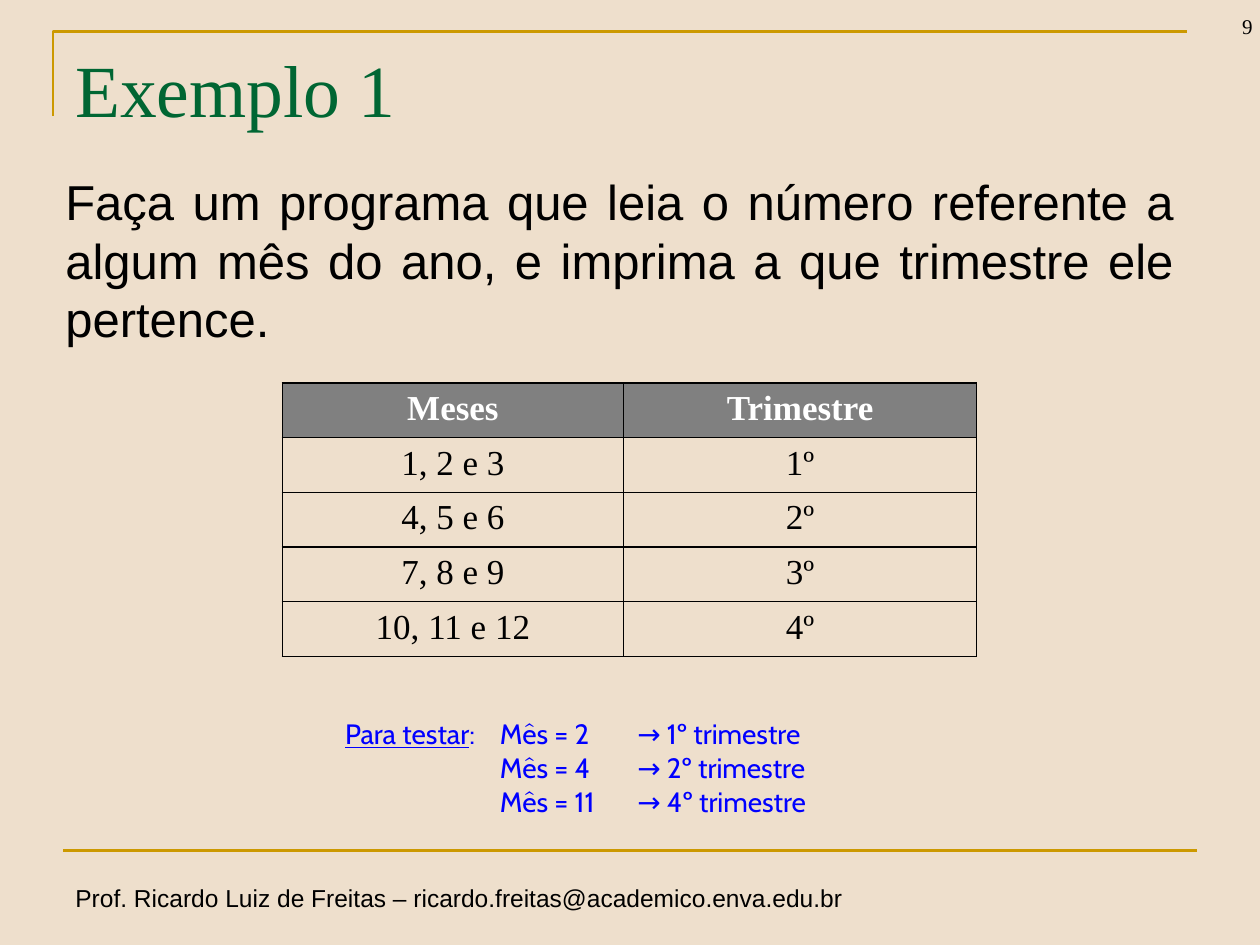
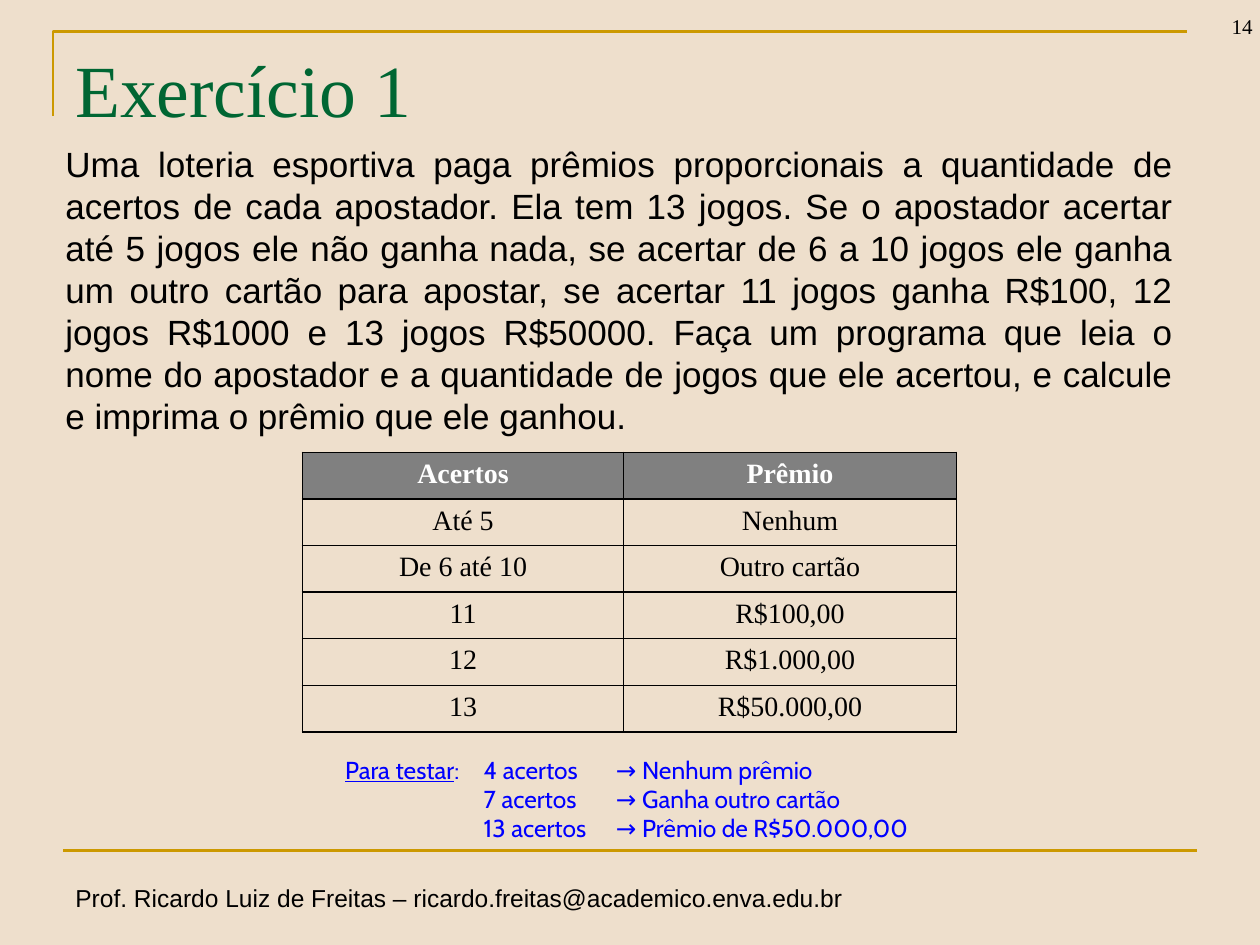
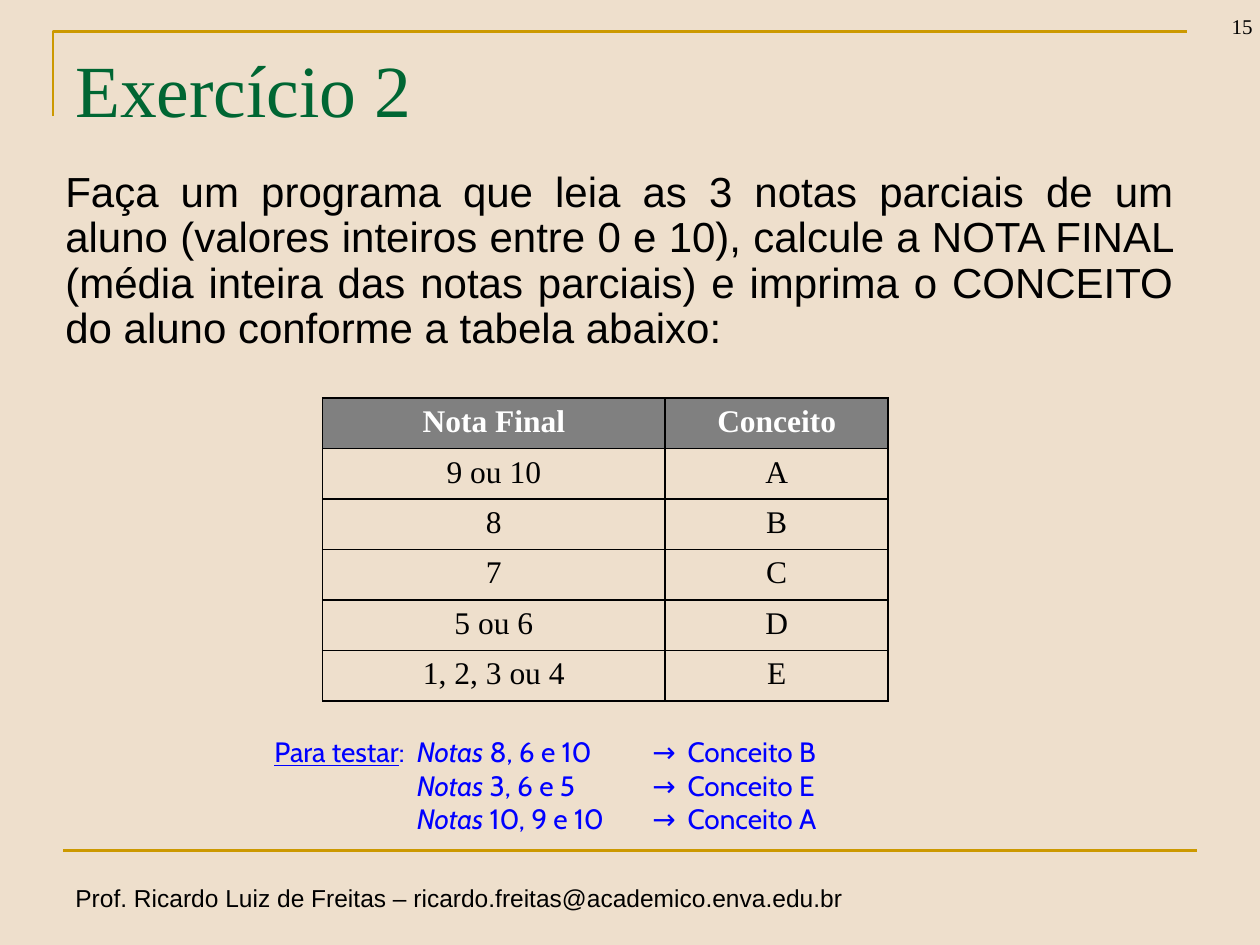
from lxml.etree import SubElement
from pptx import Presentation
from pptx.dml.color import RGBColor
from pptx.enum.shapes import MSO_CONNECTOR
from pptx.enum.text import MSO_ANCHOR, PP_ALIGN
from pptx.oxml.ns import qn
from pptx.util import Inches, Pt

BACKGROUND, GOLD, GREEN = "EEDFCC", "CC9900", "006633"
BLACK, WHITE, GRAY, BLUE = "000000", "FFFFFF", "808080", "0000FF"
SERIF, SANS, CABIN = "Times New Roman", "Arial", "Cabin"
FOOTER = "Prof. Ricardo Luiz de Freitas – ricardo.freitas@academico.enva.edu.br"
UNDERLINED, ITALIC = {"underline": True}, {"italic": True}


def rgb(value):
    return RGBColor.from_string(value)


def font_format(name, size, color, **extra):
    return {"name": name, "size": Pt(size), "color": color, **extra}


class Deck:
    def __init__(self):
        self.presentation = Presentation()
        self.presentation.slide_width = Inches(10)
        self.presentation.slide_height = Inches(7.5)
        self.slide = None

    def start_slide(self, title, number):
        self.slide = self.presentation.slides.add_slide(self.presentation.slide_layouts[6])
        background = self.slide.background.fill
        background.solid()
        background.fore_color.rgb = rgb(BACKGROUND)
        self.corner()
        self.text((0.5, 6.96, 6.38, 0.34), [FOOTER], font_format(SANS, 14, BLACK), wrap=False)
        self.rule((0.5, 6.75), (9.5, 6.75))
        self.text((0.5, 0.3, 9, 1.25), [title], font_format(SERIF, 42, GREEN))
        self.text((9.29, -0.14, 0.75, 0.5), [str(number)], font_format(SERIF, 12, BLACK),
                  {"alignment": PP_ALIGN.RIGHT}, anchor=MSO_ANCHOR.BOTTOM)

    def gold_line(self, line):
        line.color.rgb = rgb(GOLD)
        line.width = Pt(1.5)

    def corner(self):
        builder = self.slide.shapes.build_freeform(Inches(0.42), Inches(0.92))
        builder.add_line_segments([(Inches(0.42), Inches(0.25)), (Inches(9.42), Inches(0.25))],
                                  close=False)
        corner = builder.convert_to_shape()
        corner.shadow.inherit = False
        corner.fill.background()
        self.gold_line(corner.line)

    def rule(self, start, end):
        rule = self.slide.shapes.add_connector(
            MSO_CONNECTOR.STRAIGHT, *(Inches(value) for value in start + end))
        SubElement(rule._element.spPr, qn("a:effectLst"))
        self.gold_line(rule.line)

    def fill_paragraph(self, paragraph, runs, font, layout):
        for name, value in layout.items():
            setattr(paragraph, name, value)
        for text, extra in [(runs, {})] if isinstance(runs, str) else runs:
            run = paragraph.add_run()
            run.text = text
            for name, value in {**font, **extra}.items():
                if name == "color":
                    run.font.color.rgb = rgb(value)
                else:
                    setattr(run.font, name, value)

    def text(self, box, lines, font, layout={}, tabs=(), wrap=True, anchor=MSO_ANCHOR.TOP):
        frame = self.slide.shapes.add_textbox(*map(Inches, box)).text_frame
        frame.word_wrap = wrap
        frame.vertical_anchor = anchor
        for index, runs in enumerate(lines):
            paragraph = frame.add_paragraph() if index else frame.paragraphs[0]
            self.fill_paragraph(paragraph, runs, font, layout)
            if tabs:
                stops = SubElement(paragraph._p.get_or_add_pPr(), qn("a:tabLst"))
                for stop in tabs:
                    SubElement(stops, qn("a:tab"), pos=str(Inches(stop)), algn="l")

    def statement(self, top, height, text, size, **layout):
        self.text((0.42, top, 8.99, height), [text], font_format(SANS, size, BLACK),
                  {"alignment": PP_ALIGN.JUSTIFY, "space_before": Pt(size * 0.2), **layout})

    def tests(self, box, size, tabs, lines):
        first, *others = lines
        label = [("Para testar", UNDERLINED), (":\t", {})]
        self.text(box, [label + first] + [[("\t", {})] + line for line in others],
                  font_format(CABIN, size, BLUE), tabs=tabs)

    def table(self, left, top, widths, row_height, size, rows):
        table = self.slide.shapes.add_table(
            len(rows), len(widths), Inches(left), Inches(top),
            Inches(sum(widths)), Inches(row_height * len(rows))).table
        table.first_row = table.horz_banding = False
        for column, width in zip(table.columns, widths):
            column.width = Inches(width)
        for row_index, row in enumerate(rows):
            heading = row_index == 0
            font = font_format(SERIF, size, WHITE if heading else BLACK, bold=heading)
            for column_index, text in enumerate(row):
                cell = table.cell(row_index, column_index)
                self.fill_paragraph(cell.text_frame.paragraphs[0], text, font,
                                    {"alignment": PP_ALIGN.CENTER})
                self.borders(cell)
                if heading:
                    cell.fill.solid()
                    cell.fill.fore_color.rgb = rgb(GRAY)
                else:
                    cell.fill.background()

    def borders(self, cell):
        properties = cell._tc.get_or_add_tcPr()
        for side in ("lnL", "lnR", "lnT", "lnB"):
            border = SubElement(properties, qn(f"a:{side}"), w=str(Pt(1)))
            SubElement(SubElement(border, qn("a:solidFill")), qn("a:srgbClr"), val=BLACK)


def main():
    deck = Deck()

    deck.start_slide("Exemplo 1", 9)
    deck.table(2.24, 3.04, (2.71, 2.8), 0.41, 20, [
        ("Meses", "Trimestre"), ("1, 2 e 3", "1º"), ("4, 5 e 6", "2º"),
        ("7, 8 e 9", "3º"), ("10, 11 e 12", "4º")])
    deck.statement(1.31, 1.57, "Faça um programa que leia o número referente a algum mês do ano, "
                   "e imprima a que trimestre ele pertence.", 28)
    deck.tests((2.64, 5.64, 5.36, 0.91), 16, (1.23, 2.32), [
        [(f"Mês = {month}\t→ {quarter}º trimestre", {})]
        for month, quarter in ((2, 1), (4, 2), (11, 4))])

    deck.start_slide("Exercício 1", 14)
    deck.table(2.4, 3.59, (2.55, 2.64), 0.37, 16, [
        ("Acertos", "Prêmio"), ("Até 5", "Nenhum"), ("De 6 até 10", "Outro cartão"),
        ("11", "R$100,00"), ("12", "R$1.000,00"), ("13", "R$50.000,00")])
    deck.statement(1.08, 2.44, "Uma loteria esportiva paga prêmios proporcionais a quantidade de "
                   "acertos de cada apostador. Ela tem 13 jogos. Se o apostador acertar até 5 "
                   "jogos ele não ganha nada, se acertar de 6 a 10 jogos ele ganha um outro "
                   "cartão para apostar, se acertar 11 jogos ganha R$100, 12 jogos R$1000 e 13 "
                   "jogos R$50000. Faça um programa que leia o nome do apostador e a quantidade "
                   "de jogos que ele acertou, e calcule e imprima o prêmio que ele ganhou.", 20)
    deck.tests((2.64, 5.94, 5.08, 0.81), 14, (1.1, 2.15), [
        [(f"{hits} acertos\t→ {prize}", {})]
        for hits, prize in ((4, "Nenhum prêmio"), (7, "Ganha outro cartão"),
                            (13, "Prêmio de R$50.000,00"))])

    deck.start_slide("Exercício 2", 15)
    deck.table(2.56, 3.16, (2.72, 1.77), 0.4, 18, [
        ("Nota Final", "Conceito"), ("9 ou 10", "A"), ("8", "B"), ("7", "C"),
        ("5 ou 6", "D"), ("1, 2, 3 ou 4", "E")])
    deck.statement(1.31, 1.57, "Faça um programa que leia as 3 notas parciais de um aluno "
                   "(valores inteiros entre 0 e 10), calcule a NOTA FINAL (média inteira das "
                   "notas parciais) e imprima o CONCEITO do aluno conforme a tabela abaixo:",
                   24, line_spacing=0.9)
    deck.tests((2.08, 5.78, 5.65, 0.91), 16, (1.13, 3, 3.28), [
        [("Notas", ITALIC), (f" {grades}\t→\tConceito {concept}", {})]
        for grades, concept in (("8, 6 e 10", "B"), ("3, 6 e 5", "E"), ("10, 9 e 10", "A"))])

    deck.presentation.save("out.pptx")


if __name__ == "__main__":
    main()
